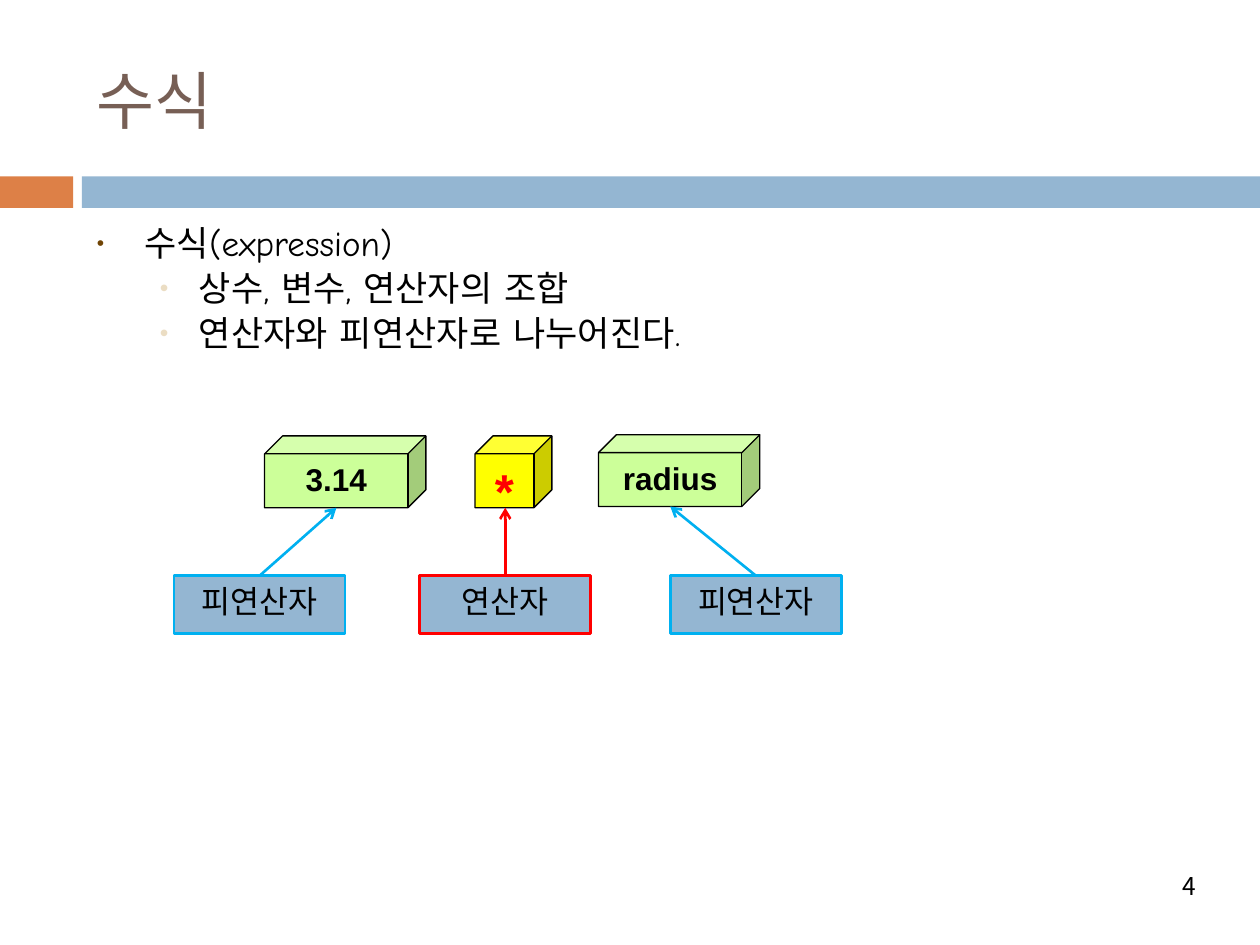
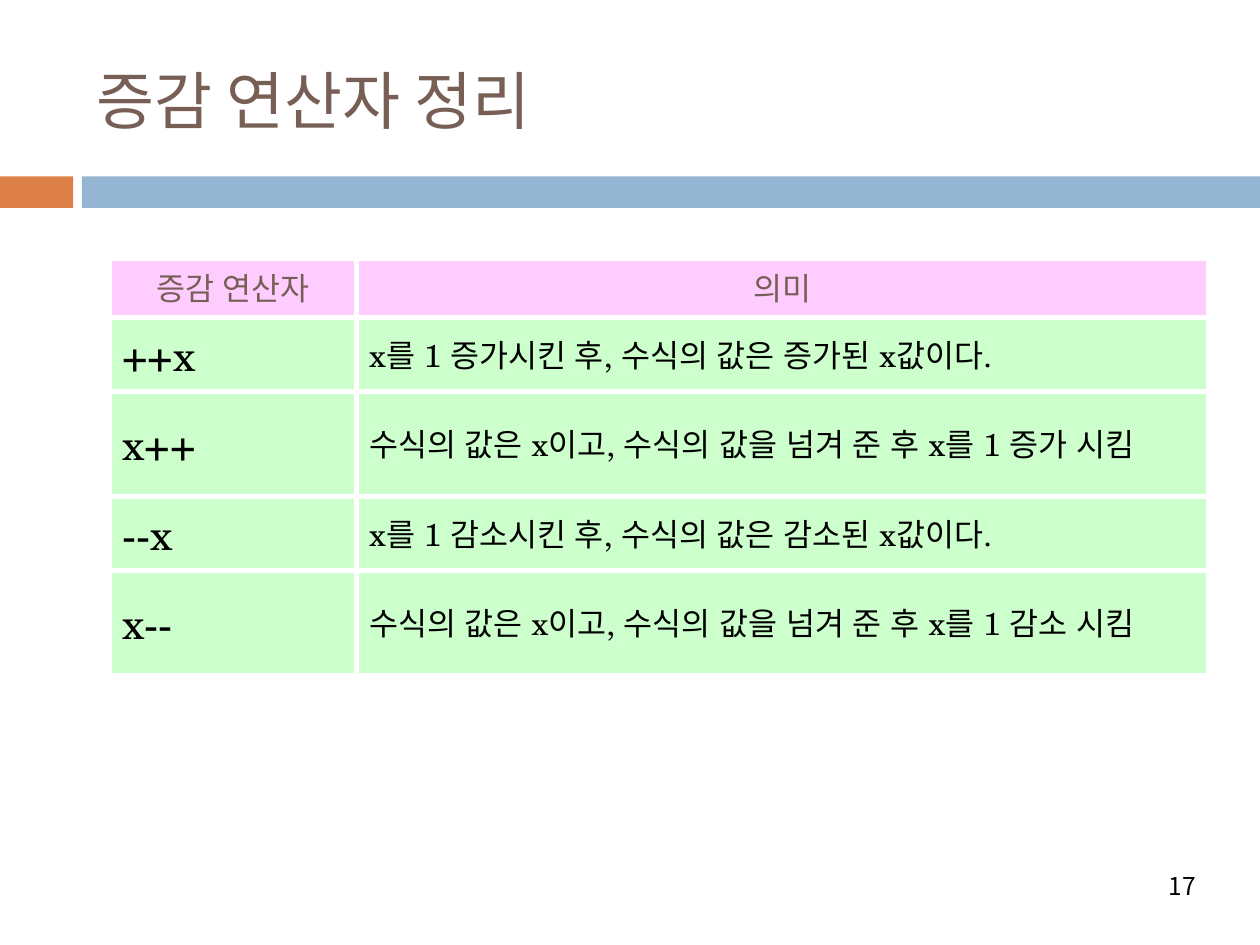
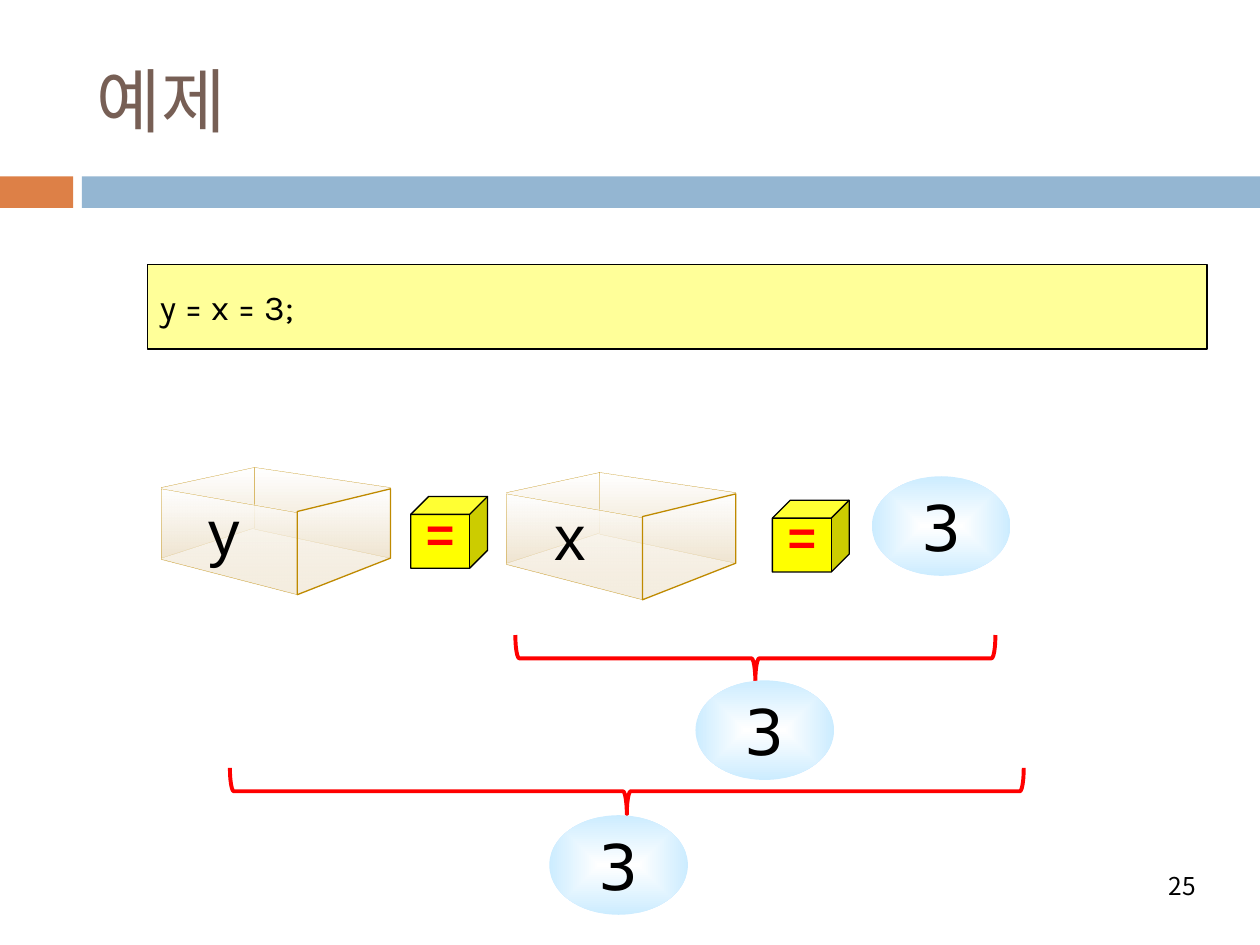
from dataclasses import dataclass, replace

from lxml.etree import SubElement
from pptx import Presentation
from pptx.dml.color import RGBColor
from pptx.enum.shapes import MSO_CONNECTOR, MSO_SHAPE
from pptx.enum.text import MSO_ANCHOR, PP_ALIGN
from pptx.oxml import parse_xml
from pptx.oxml.ns import nsdecls, qn
from pptx.util import Inches, Pt

# Shared colours and fonts
BLACK, WHITE, RED = "000000", "FFFFFF", "FF0000"
ORANGE, BLUE, BROWN = "DD8047", "94B6D2", "775F55"
SKY, LIME, YELLOW = "00B0F0", "CCFF99", "FFFF00"
SAND, GOLD, PALE_BLUE = "EBDDC3", "BF8A00", "CCECFF"
KOREAN, COMIC, SCHOLA = "Noto Sans CJK KR", "Comic Neue", "TeX Gyre Schola"


@dataclass(frozen=True)
class Style:
    size: float
    font: str = KOREAN
    color: str = BLACK
    bold: bool = False
    east_asian: str = KOREAN


@dataclass(frozen=True)
class Area:
    left: float
    top: float
    width: float
    height: float

    def lengths(self) -> tuple:
        return tuple(Inches(v) for v in (self.left, self.top, self.width, self.height))


@dataclass(frozen=True)
class Bullet:
    text: str
    level: int
    margin: float
    hanging: float
    color: str
    percent: int


@dataclass(frozen=True)
class Operand:
    text: str
    cube: Area
    style: Style
    fill: str
    label: str
    label_left: float
    accent: str
    tip: tuple[float, float]


@dataclass(frozen=True)
class Face:
    points: tuple[tuple[float, float], ...]
    opacity: int
    line_width: float


TITLE = Style(36, color=BROWN)
NUMBER = Style(14)
BODY = Style(20, COMIC, east_asian=COMIC)
CUBE_TEXT = Style(18, "Arial", bold=True)
SIGN = Style(28, "Arial", RED, True)
VARIABLE = Style(36, "Arial")
VALUE = Style(36, "DejaVu Sans")
TABLE_TEXT = Style(18, SCHOLA, east_asian=SCHOLA)


# Text and formatting helpers
def rgb(color: str) -> RGBColor:
    return RGBColor.from_string(color)


def add_span(para, text: str, style: Style) -> None:
    span = para.add_run()
    span.text = text
    span.font.size = Pt(style.size)
    span.font.name = style.font
    span.font.bold = style.bold
    span.font.color.rgb = rgb(style.color)
    SubElement(span.font._element, qn("a:ea"), typeface=style.east_asian)


def write(frame, text: str, style: Style, align=PP_ALIGN.LEFT,
          anchor=MSO_ANCHOR.TOP, wrap: bool = True):
    frame.word_wrap = wrap
    frame.vertical_anchor = anchor
    para = frame.paragraphs[0]
    para.alignment = align
    add_span(para, text, style)
    return para


def indent(para, margin: float, hanging: float) -> None:
    properties = para._p.get_or_add_pPr()
    properties.set("marL", str(Inches(margin)))
    properties.set("indent", str(-Inches(hanging)))


def add_text(page, area: Area, text: str, style: Style, **layout) -> None:
    box = page.shapes.add_textbox(*area.lengths())
    write(box.text_frame, text, style, **layout)


def outline(shape, color: str, width: float) -> None:
    shape.line.color.rgb = rgb(color)
    shape.line.width = Pt(width)


def add_box(page, kind, area: Area, fill: str = "", line: str = "", width: float = 0.75):
    shape = page.shapes.add_shape(kind, *area.lengths())
    shape.shadow.inherit = False
    if fill:
        shape.fill.solid()
        shape.fill.fore_color.rgb = rgb(fill)
    else:
        shape.fill.background()
    if line:
        outline(shape, line, width)
    else:
        shape.line.fill.background()
    return shape


def fill_gradient(shape, end: str, direction: str, opacity: int = 100) -> None:
    """Fade from white to the end colour."""
    shape.fill.background()
    solid = shape._element.spPr.find(qn("a:noFill"))
    gradient = parse_xml(
        f'<a:gradFill {nsdecls("a")} rotWithShape="1"><a:gsLst>'
        f'<a:gs pos="0"><a:srgbClr val="{WHITE}"/></a:gs>'
        f'<a:gs pos="100000"><a:srgbClr val="{end}"><a:alpha val="{opacity * 1000}"/>'
        f'</a:srgbClr></a:gs></a:gsLst>{direction}</a:gradFill>')
    solid.getparent().replace(solid, gradient)


def add_arrow(page, start: tuple, end: tuple, color: str) -> None:
    ends = [Inches(v) for v in (*start, *end)]
    arrow = page.shapes.add_connector(MSO_CONNECTOR.STRAIGHT, *ends)
    outline(arrow, color, 1.5)
    SubElement(arrow.line._get_or_add_ln(), qn("a:tailEnd"), type="arrow")
    SubElement(arrow._element.spPr, qn("a:effectLst"))


def add_page(deck, title: str, number: int, style: Style = TITLE):
    """Start a slide with its title, bands and number."""
    page = deck.slides.add_slide(deck.slide_layouts[6])
    add_box(page, MSO_SHAPE.RECTANGLE, Area(0, 1.4, 0.58, 0.25), ORANGE)
    add_box(page, MSO_SHAPE.RECTANGLE, Area(0.65, 1.4, 9.35, 0.25), BLUE)
    add_text(page, Area(0.67, 0.25, 8.92, 1.08), title, style, anchor=MSO_ANCHOR.MIDDLE)
    add_text(page, Area(6.81, 6.83, 2.78, 0.4), str(number), NUMBER,
             align=PP_ALIGN.RIGHT, anchor=MSO_ANCHOR.MIDDLE)
    return page


# Slide: expressions
BULLETS = (
    Bullet("수식(expression)", 0, 0.38, 0.38, "704404", 60),
    Bullet("상수, 변수, 연산자의 조합", 1, 0.81, 0.31, SAND, 70),
    Bullet("연산자와 피연산자로 나누어진다.", 1, 0.81, 0.31, SAND, 70),
)
OPERANDS = (
    Operand("3.14", Area(2.1, 3.46, 1.28, 0.57), CUBE_TEXT, LIME,
            "피연산자", 1.38, SKY, (2.67, 4.03)),
    Operand("*", Area(3.77, 3.46, 0.61, 0.57), SIGN, YELLOW,
            "연산자", 3.33, RED, (4.01, 4.03)),
    Operand("radius", Area(4.75, 3.45, 1.28, 0.57), CUBE_TEXT, LIME,
            "피연산자", 5.32, SKY, (5.32, 4.02)),
)


def add_bullets(page, area: Area, bullets: tuple[Bullet, ...]) -> None:
    frame = page.shapes.add_textbox(*area.lengths()).text_frame
    frame.word_wrap = True
    for index, bullet in enumerate(bullets):
        para = frame.add_paragraph() if index else frame.paragraphs[0]
        para.level = bullet.level
        para.line_spacing = 0.9
        para.space_before = Pt(4)
        indent(para, bullet.margin, bullet.hanging)
        properties = para._p.get_or_add_pPr()
        color = SubElement(properties, qn("a:buClr"))
        SubElement(color, qn("a:srgbClr"), val=bullet.color)
        SubElement(properties, qn("a:buSzPct"), val=str(bullet.percent * 1000))
        SubElement(properties, qn("a:buFont"), typeface="Arial")
        SubElement(properties, qn("a:buChar"), char="•")
        add_span(para, bullet.text, BODY)


def add_cube(page, area: Area, text: str, style: Style, fill: str,
             anchor=MSO_ANCHOR.TOP) -> None:
    cube = add_box(page, MSO_SHAPE.CUBE, area, fill, BLACK)
    write(cube.text_frame, text, style, PP_ALIGN.CENTER, anchor)


def expression_slide(deck) -> None:
    page = add_page(deck, "수식", 4)
    add_bullets(page, Area(0.67, 1.75, 8.92, 4.92), BULLETS)
    label_top, label_width = 4.57, 1.36
    for item in OPERANDS:
        add_cube(page, item.cube, item.text, item.style, item.fill)
        area = Area(item.label_left, label_top, label_width, 0.46)
        label = add_box(page, MSO_SHAPE.RECTANGLE, area, BLUE, item.accent, 1.5)
        write(label.text_frame, item.label, Style(18), PP_ALIGN.CENTER)
        start = (item.label_left + label_width / 2, label_top)
        add_arrow(page, start, item.tip, item.accent)


# Slide: increment and decrement table
OPERATORS = (
    ("증감 연산자", "의미"),
    ("++x", "x를 1 증가시킨 후, 수식의 값은 증가된 x값이다."),
    ("x++", "수식의 값은 x이고, 수식의 값을 넘겨 준 후 x를 1 증가 시킴"),
    ("--x", "x를 1 감소시킨 후, 수식의 값은 감소된 x값이다."),
    ("x--", "수식의 값은 x이고, 수식의 값을 넘겨 준 후 x를 1 감소 시킴"),
)
COLUMN_WIDTHS = (1.96, 6.76)
ROW_HEIGHTS = (0.47, 0.59, 0.83, 0.59, 0.83)


def format_cell(cell, fill: str) -> None:
    properties = cell._tc.get_or_add_tcPr()
    for side in ("a:lnL", "a:lnR", "a:lnT", "a:lnB"):
        border = SubElement(properties, qn(side), w=str(Pt(3)))
        solid = SubElement(border, qn("a:solidFill"))
        SubElement(solid, qn("a:srgbClr"), val=WHITE)
    cell.fill.solid()
    cell.fill.fore_color.rgb = rgb(fill)
    cell.vertical_anchor = MSO_ANCHOR.MIDDLE


def operator_slide(deck) -> None:
    page = add_page(deck, "증감 연산자 정리", 17)
    area = Area(0.87, 2.05, sum(COLUMN_WIDTHS), sum(ROW_HEIGHTS))
    table = page.shapes.add_table(len(OPERATORS), len(COLUMN_WIDTHS), *area.lengths()).table
    table.first_row = table.horz_banding = False
    for column, width in zip(table.columns, COLUMN_WIDTHS):
        column.width = Inches(width)
    for row, height in zip(table.rows, ROW_HEIGHTS):
        row.height = Inches(height)
    for r, texts in enumerate(OPERATORS):
        for c, text in enumerate(texts):
            cell = table.cell(r, c)
            format_cell(cell, "CCFFCC" if r else "FFCCFF")
            para = cell.text_frame.paragraphs[0]
            para.alignment = PP_ALIGN.JUSTIFY if r else PP_ALIGN.CENTER
            style = replace(TABLE_TEXT, size=24 if r and c == 0 else 18,
                            color=BLACK if r else BROWN)
            add_span(para, text, style)


# Slide: chained assignment
BOX_FACES = (
    Face(((0.74, 0), (0.74, 0.49), (1.82, 0.72), (1.82, 0.16)), 100, 0.1),
    Face(((0, 0.72), (0.74, 0.48), (0.74, 0), (0, 0.16)), 100, 0.1),
    Face(((0, 0.17), (0, 0.73), (1.08, 1.01), (1.08, 0.36)), 50, 0.1),
    Face(((1.08, 1.01), (1.82, 0.72), (1.82, 0.17), (1.08, 0.35)), 50, 0.75),
)


def add_variable(page, left: float, top: float, name: str) -> None:
    """Draw an open glass box holding a variable name."""
    for face in BOX_FACES:
        points = [(Inches(left + x), Inches(top + y)) for x, y in face.points]
        builder = page.shapes.build_freeform(*points[0])
        builder.add_line_segments(points[1:])
        shape = builder.convert_to_shape()
        shape.shadow.inherit = False
        fill_gradient(shape, SAND, '<a:lin ang="5400000" scaled="1"/>', face.opacity)
        outline(shape, GOLD, face.line_width)
    add_text(page, Area(left + 0.28, top + 0.15, 0.45, 0.71), name, VARIABLE, wrap=False)


def add_value(page, left: float, top: float) -> None:
    oval = add_box(page, MSO_SHAPE.OVAL, Area(left, top, 1.1, 0.79))
    fill_gradient(oval, PALE_BLUE, '<a:path path="shape"><a:fillToRect l="50000" '
                  't="50000" r="50000" b="50000"/></a:path>')
    write(oval.text_frame, "3", VALUE, PP_ALIGN.CENTER, MSO_ANCHOR.MIDDLE, False)


def add_brace(page, area: Area) -> None:
    brace = add_box(page, MSO_SHAPE.LEFT_BRACE, area, line=RED, width=2.25)
    brace.rotation = 270


def assignment_slide(deck) -> None:
    page = add_page(deck, "예제", 25, replace(TITLE, size=40))
    code = add_box(page, MSO_SHAPE.RECTANGLE, Area(1.17, 2.1, 8.41, 0.67), "FFFF99", BLACK)
    para = write(code.text_frame, "y = x = 3;", Style(20, "Karla"), anchor=MSO_ANCHOR.MIDDLE)
    para.space_before = Pt(4)
    indent(para, 0.38, 0.38)

    add_variable(page, 1.28, 3.71, "y")
    add_variable(page, 4.02, 3.75, "x")
    for left, top in ((3.26, 3.94), (6.13, 3.97)):
        add_cube(page, Area(left, top, 0.61, 0.57), "=", SIGN, YELLOW, MSO_ANCHOR.BOTTOM)
    add_brace(page, Area(5.81, 3.32, 0.37, 3.81))
    add_brace(page, Area(4.79, 3.13, 0.37, 6.3))
    for left, top in ((6.92, 3.78), (5.52, 5.4), (4.36, 6.47)):
        add_value(page, left, top)


def main() -> None:
    deck = Presentation()
    deck.slide_width, deck.slide_height = Inches(10), Inches(7.5)
    expression_slide(deck)
    operator_slide(deck)
    assignment_slide(deck)
    deck.save("out.pptx")


if __name__ == "__main__":
    main()
